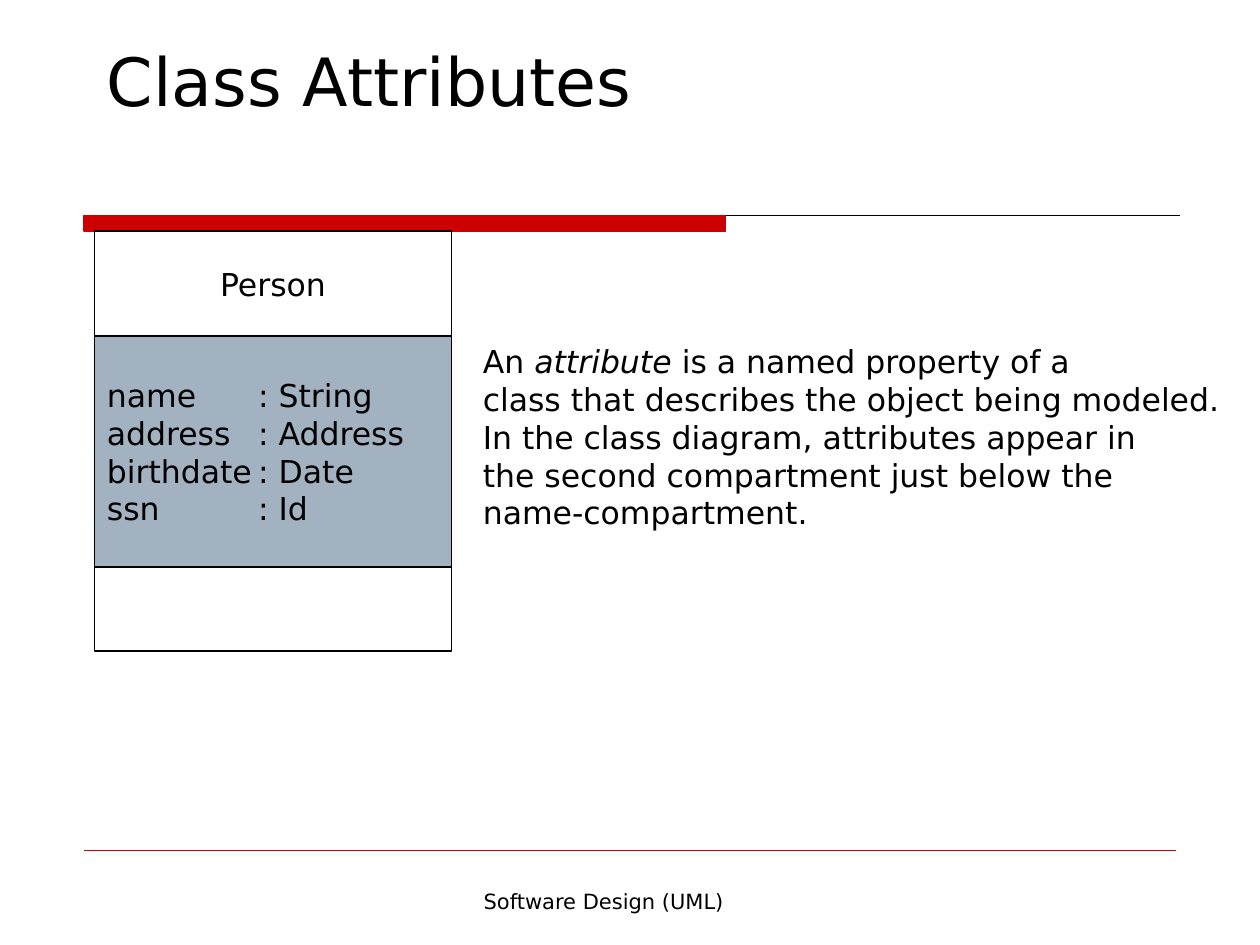
from lxml.etree import SubElement
from pptx import Presentation
from pptx.dml.color import RGBColor
from pptx.enum.shapes import MSO_CONNECTOR, MSO_SHAPE
from pptx.enum.text import MSO_ANCHOR, PP_ALIGN
from pptx.oxml.ns import qn
from pptx.util import Inches, Pt

THEME = {
    "font": "DejaVu Sans",
    "ink": RGBColor(0, 0, 0),
    "paper": RGBColor(255, 255, 255),
    "accent": RGBColor(0xCC, 0, 0),
    "highlight": RGBColor(0xA3, 0xB2, 0xC1),
    "title": Pt(38),
    "body": Pt(18),
    "footer": Pt(12),
    "line": Pt(0.75),
}

TITLE = [["Class Attributes"]]
FOOTER = [["Software Design (UML)"]]
CLASS_NAME = [["Person"]]
ATTRIBUTES = [("name", "String"), ("address", "Address"), ("birthdate", "Date"), ("ssn", "Id")]
EXPLANATION = [
    ["An ", ("attribute", {"italic": True}), " is a named property of a"],
    ["class that describes the object being modeled."],
    ["In the class diagram, attributes appear in"],
    ["the second compartment just below the"],
    ["name-compartment."],
]

COLUMNS, ROWS = 120, 90
CLASS_LEFT, CLASS_TOP, CLASS_WIDTH = 9, 22, 34
COMPARTMENTS = [
    (10, "paper", CLASS_NAME, PP_ALIGN.CENTER),
    (22, "highlight", [[f"{name}\t: {kind}"] for name, kind in ATTRIBUTES], PP_ALIGN.LEFT),
    (8, "paper", [], PP_ALIGN.LEFT),
]
TEXT_BOXES = [
    ((9, 5, 103, 7), TITLE, "title", PP_ALIGN.LEFT, MSO_ANCHOR.BOTTOM),
    ((44.8, 32, 75.2, 25.2), EXPLANATION, "body", PP_ALIGN.LEFT, MSO_ANCHOR.TOP),
    ((31, 84, 53, 6), FOOTER, "footer", PP_ALIGN.CENTER, MSO_ANCHOR.TOP),
]
RULE_LEFT = 8
TITLE_BAR = (RULE_LEFT, 20.5, 61.1, 1.5)
RULES = [(20.5, 112.4, "ink"), (81, 112, "accent")]
TYPE_TAB = Inches(1.2)

deck = Presentation()
deck.slide_width, deck.slide_height = Inches(10), Inches(7.5)
page = deck.slides.add_slide(deck.slide_layouts[6])


def place(left, top, width, height):
    across, down = deck.slide_width / COLUMNS, deck.slide_height / ROWS
    return [round(value) for value in (left * across, top * down, width * across, height * down)]


def apply(target, values):
    for name, value in values.items():
        setattr(target, name, value)


def write(box, lines, size, align, anchor):
    frame = box.text_frame
    apply(frame, {"word_wrap": True, "vertical_anchor": anchor})
    for index, line in enumerate(lines):
        para = frame.paragraphs[0] if index == 0 else frame.add_paragraph()
        para.alignment = align
        if "\t" in line[0]:
            tabs = SubElement(para._p.get_or_add_pPr(), qn("a:tabLst"))
            SubElement(tabs, qn("a:tab"), pos=str(TYPE_TAB), algn="l")
        for part in line:
            text, extra = (part, {}) if isinstance(part, str) else part
            span = para.add_run()
            span.text = text
            apply(span.font, {"name": THEME["font"], "size": THEME[size], **extra})
            span.font.color.rgb = THEME["ink"]


def add_rectangle(shapes, area, fill, outline):
    box = shapes.add_shape(MSO_SHAPE.RECTANGLE, *place(*area))
    box.shadow.inherit = False
    box.fill.solid()
    box.fill.fore_color.rgb = THEME[fill]
    box.line.color.rgb = THEME[outline]
    box.line.width = THEME["line"]
    return box


for row, right, color in RULES:
    left, top, width, height = place(RULE_LEFT, row, right - RULE_LEFT, 0)
    rule = page.shapes.add_connector(MSO_CONNECTOR.STRAIGHT, left, top, left + width, top)
    rule.line.color.rgb = THEME[color]
    rule.line.width = THEME["line"]
    SubElement(rule._element.spPr, qn("a:effectLst"))

add_rectangle(page.shapes, TITLE_BAR, "accent", "accent")

class_diagram = page.shapes.add_group_shape()
row = CLASS_TOP
for height, fill, lines, align in COMPARTMENTS:
    area = (CLASS_LEFT, row, CLASS_WIDTH, height)
    compartment = add_rectangle(class_diagram.shapes, area, fill, "ink")
    write(compartment, lines, "body", align, MSO_ANCHOR.MIDDLE)
    row += height

for area, lines, size, align, anchor in TEXT_BOXES:
    write(page.shapes.add_textbox(*place(*area)), lines, size, align, anchor)

deck.save("out.pptx")
